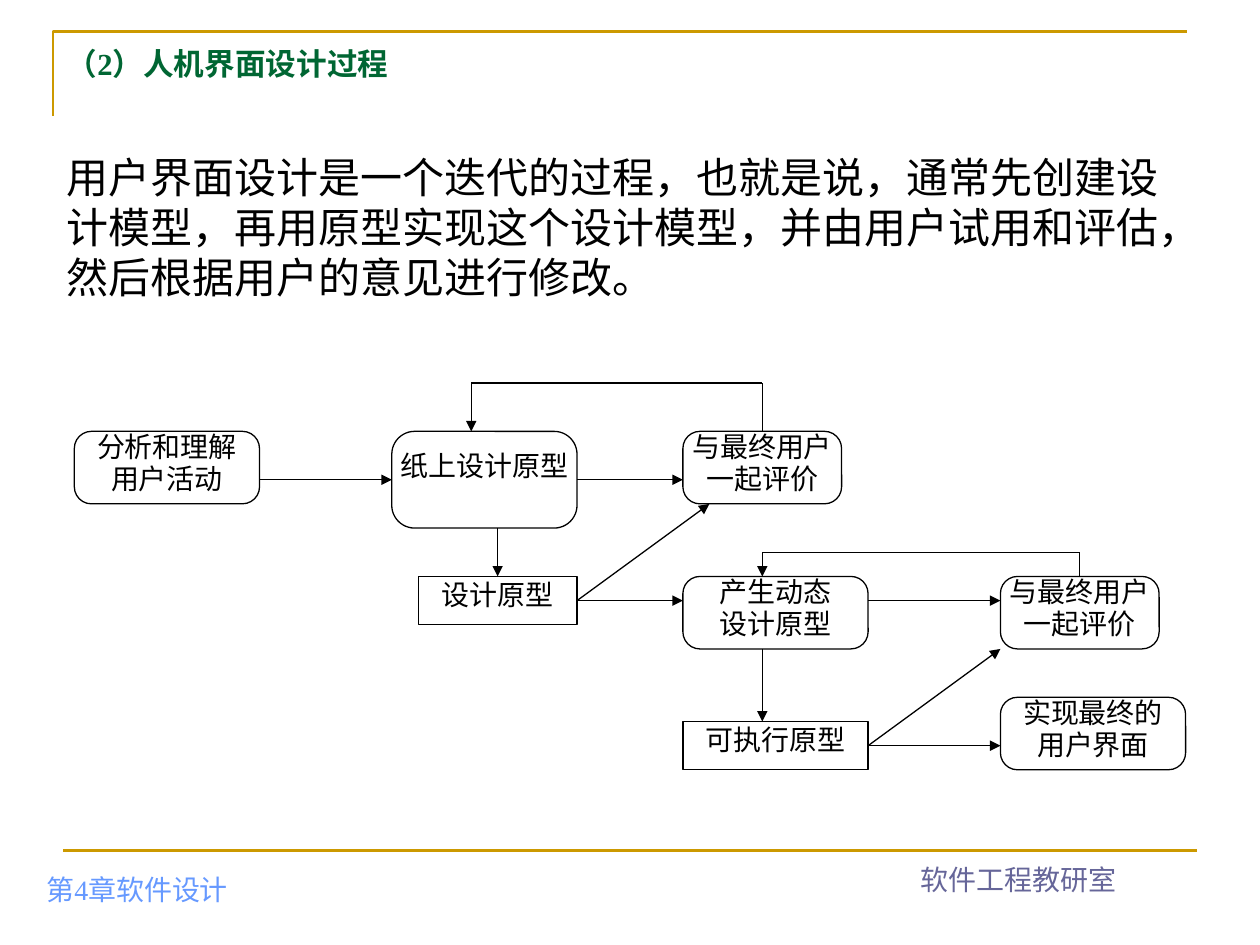
from dataclasses import dataclass

from lxml.etree import SubElement
from pptx import Presentation
from pptx.dml.color import RGBColor
from pptx.enum.shapes import MSO_CONNECTOR, MSO_SHAPE
from pptx.enum.text import MSO_ANCHOR, MSO_AUTO_SIZE, PP_ALIGN
from pptx.oxml.ns import qn
from pptx.util import Inches, Pt


@dataclass(frozen=True)
class Theme:
    ink: str = "000000"
    paper: str = "FFFFFF"
    gold: str = "CC9900"
    green: str = "006633"
    blue: str = "6699FF"
    violet: str = "666699"
    serif: str = "Times New Roman"
    sans: str = "Arial"
    title_size: float = 17.5
    body_size: float = 24
    label_size: float = 16
    rule_width: float = 1.5
    flow_width: float = 0.75
    corner: float = 0.236


class SlideBuilder:
    FLOW_LEFT, FLOW_TOP = 0.59, 3.04
    COLUMN, ROW = 0.21, 3.07 / 16

    def __init__(self, deck, theme):
        self.deck = deck
        self.theme = theme
        self.slide = deck.slides.add_slide(deck.slide_layouts[5])
        self.flow = None

    def start_flow(self):
        self.flow = self.slide.shapes.add_group_shape()

    def share(self, x, y):
        return int(self.deck.slide_width * x / 100), int(self.deck.slide_height * y / 100)

    def cell(self, column, row):
        return (Inches(self.FLOW_LEFT + column * self.COLUMN),
                Inches(self.FLOW_TOP + row * self.ROW))

    def set_text(self, box, lines, size, color, name, align=PP_ALIGN.LEFT,
                 anchor=MSO_ANCHOR.TOP, spacing=1.0, bold=False, margins=(0.1, 0.05)):
        frame = box.text_frame
        frame.word_wrap = True
        frame.auto_size = MSO_AUTO_SIZE.NONE
        frame.vertical_anchor = anchor
        frame.margin_left = frame.margin_right = Inches(margins[0])
        frame.margin_top = frame.margin_bottom = Inches(margins[1])
        frame.text = "\n".join(lines)
        for para in frame.paragraphs:
            para.alignment = align
            para.line_spacing = spacing
            para.space_before = Pt(0)
            para.space_after = Pt(2.5 if len(lines) > 1 else 0)
            para.font.size = Pt(size)
            para.font.name = name
            para.font.bold = bold
            para.font.color.rgb = RGBColor.from_string(color)

    def stroke(self, line, color, width):
        line.color.rgb = RGBColor.from_string(color)
        line.width = Pt(width)

    def title(self, area, text):
        box = self.slide.shapes.title
        box.left, box.top = self.share(*area[:2])
        box.width, box.height = self.share(*area[2:])
        self.set_text(box, [text], self.theme.title_size, self.theme.green,
                      self.theme.serif, spacing=0.8, bold=True)

    def text(self, area, text, size, color, name, **style):
        box = self.slide.shapes.add_textbox(*self.share(*area[:2]), *self.share(*area[2:]))
        self.set_text(box, [text], size, color, name, **style)

    def bracket(self, *points):
        start, *rest = [self.share(*point) for point in points]
        builder = self.slide.shapes.build_freeform(*start)
        builder.add_line_segments(rest, close=False)
        frame_line = builder.convert_to_shape()
        frame_line.shadow.inherit = False
        frame_line.fill.background()
        self.stroke(frame_line.line, self.theme.gold, self.theme.rule_width)

    def connect(self, shapes, start, end, color, width, arrow=False):
        connector = shapes.add_connector(MSO_CONNECTOR.STRAIGHT, *start, *end)
        self.stroke(connector.line, color, width)
        properties = connector.element.spPr
        if arrow:
            SubElement(properties.find(qn("a:ln")), qn("a:tailEnd"), type="triangle")
        SubElement(properties, qn("a:effectLst"))

    def rule(self, start, end):
        self.connect(self.slide.shapes, self.share(*start), self.share(*end),
                     self.theme.gold, self.theme.rule_width)

    def link(self, start, end, arrow=True):
        self.connect(self.flow.shapes, self.cell(*start), self.cell(*end),
                     self.theme.ink, self.theme.flow_width, arrow)

    def node(self, column, row, columns, rows, *lines, rounded=True, margins=(0, 0)):
        kind = MSO_SHAPE.ROUNDED_RECTANGLE if rounded else MSO_SHAPE.RECTANGLE
        box = self.flow.shapes.add_shape(
            kind, *self.cell(column, row),
            Inches(columns * self.COLUMN), Inches(rows * self.ROW))
        if rounded:
            box.adjustments[0] = self.theme.corner
        box.shadow.inherit = False
        box.fill.solid()
        box.fill.fore_color.rgb = RGBColor.from_string(self.theme.paper)
        self.stroke(box.line, self.theme.ink, self.theme.flow_width)
        self.set_text(box, lines, self.theme.label_size, self.theme.ink, self.theme.serif,
                      align=PP_ALIGN.CENTER, spacing=0.8 if len(lines) > 1 else 1.0,
                      margins=margins)


def main():
    deck = Presentation()
    deck.slide_width, deck.slide_height = Inches(10), Inches(7.5)
    theme = Theme()
    page = SlideBuilder(deck, theme)

    page.bracket((4.2, 12.27), (4.2, 3.33), (94.2, 3.33))
    page.rule((5, 90), (95, 90))
    page.text((2.7, 89.87, 31.5, 6.67), "第4章软件设计", theme.label_size, theme.blue,
              theme.serif, anchor=MSO_ANCHOR.BOTTOM)
    page.text((65, 88.8, 31.7, 6.67), "软件工程教研室", theme.label_size, theme.violet,
              theme.serif, align=PP_ALIGN.CENTER, anchor=MSO_ANCHOR.BOTTOM)
    page.title((4.3, 4.8, 90.1, 9.47), "（2）人机界面设计过程")

    page.start_flow()
    page.node(0, 2, 7, 3, "分析和理解", "用户活动")
    page.node(12, 2, 7, 4, "纸上设计原型", margins=(0, 0.08))
    page.node(23, 8, 7, 3, "产生动态", "设计原型")
    page.node(35, 13, 7, 3, "实现最终的", "用户界面")
    for column, row in ((23, 2), (35, 8)):
        page.node(column, row, 6, 3, "与最终用户", "一起评价")
    for column, row, columns, label in ((13, 8, 6, "设计原型"), (23, 14, 7, "可执行原型")):
        page.node(column, row, columns, 2, label, rounded=False, margins=(0.06, 0.01))

    for start, end in (
        ((7, 4), (12, 4)), ((19, 4), (23, 4)), ((16, 6), (16, 8)),
        ((19, 9), (24, 5)), ((19, 9), (23, 9)), ((30, 9), (35, 9)),
        ((26, 11), (26, 14)), ((30, 15), (35, 11)), ((30, 15), (35, 15)),
    ):
        page.link(start, end)

    for left, right, top, bottom in ((15, 26, 0, 2), (26, 38, 7, 8)):
        page.link((right, bottom), (right, top), arrow=False)
        page.link((right, top), (left, top), arrow=False)
        page.link((left, top), (left, bottom))

    page.text((4.3, 15.33, 90.6, 17.33),
              "用户界面设计是一个迭代的过程，也就是说，通常先创建设计模型，"
              "再用原型实现这个设计模型，并由用户试用和评估，然后根据用户的意见进行修改。",
              theme.body_size, theme.ink, theme.sans)
    deck.save("out.pptx")


if __name__ == "__main__":
    main()
